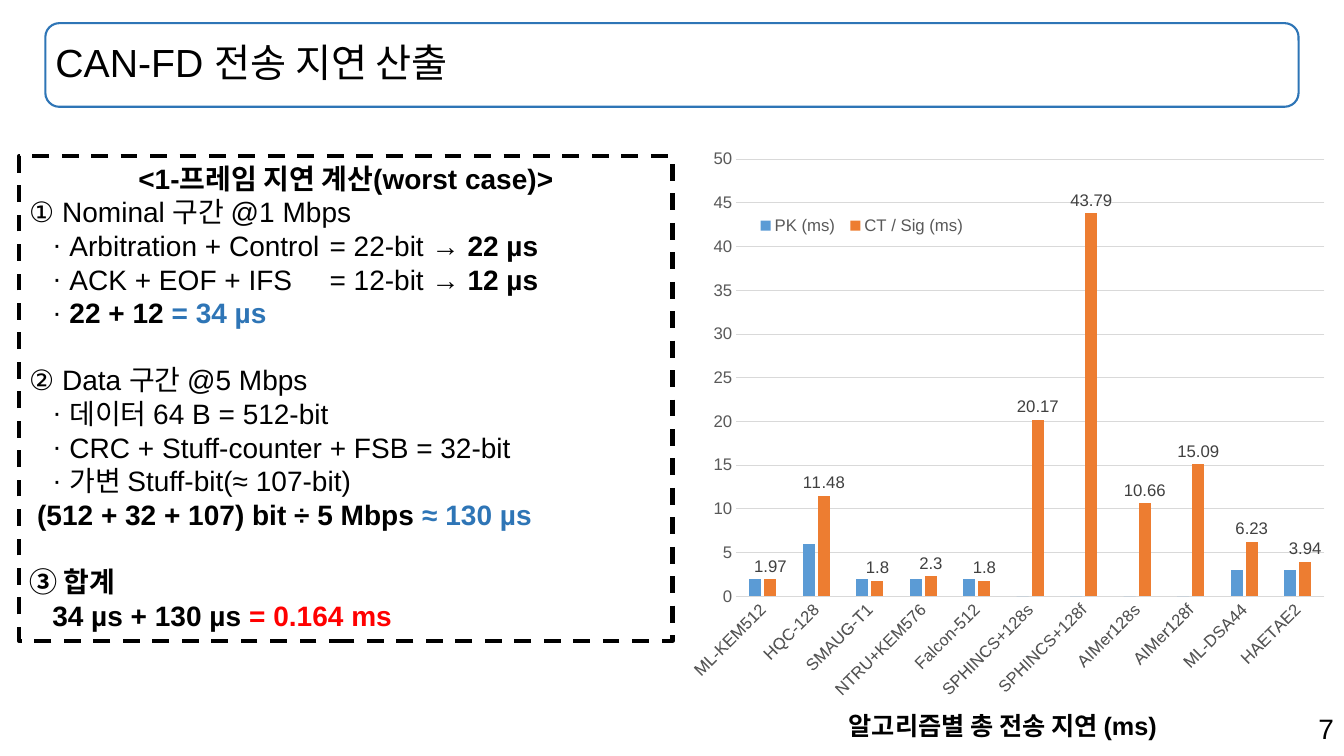
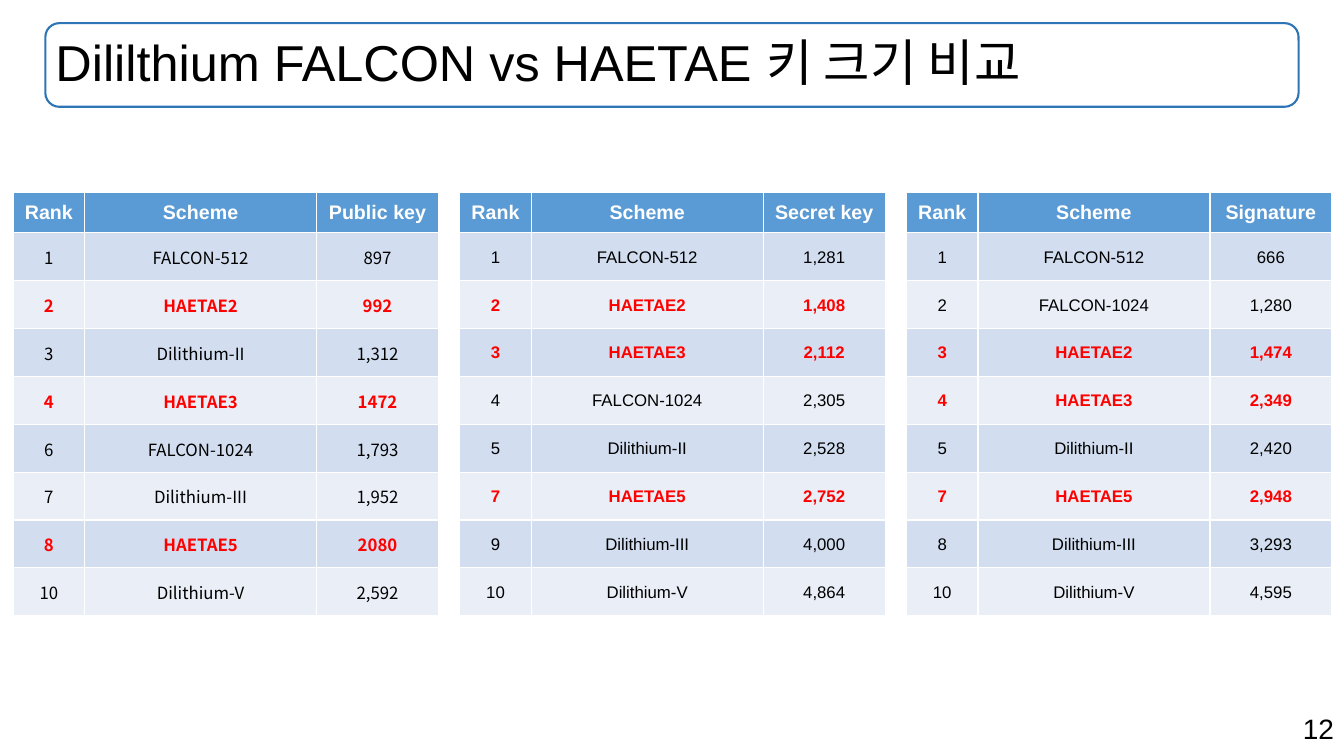
import pptx
import pptx.chart.data
import pptx.dml.color
import pptx.enum.chart
import pptx.enum.dml
import pptx.enum.shapes
import pptx.enum.text
import pptx.oxml
import pptx.oxml.ns
import pptx.util

Inches, Pt = pptx.util.Inches, pptx.util.Pt
ALIGN, ANCHOR = pptx.enum.text.PP_ALIGN, pptx.enum.text.MSO_ANCHOR
SHAPES = pptx.enum.shapes.MSO_SHAPE

FONT, TABLE_FONT = "Arial", "Noto Sans CJK KR"
BLACK, WHITE, RED, BLUE = "000000", "FFFFFF", "FF0000", "2E75B6"
HEADER, BANDS = "5B9BD5", ("D2DEEF", "EAEFF7")
AXIS_TEXT, LABEL_TEXT, GRID = "595959", "404040", "D9D9D9"
TITLE_AREA = [Inches(n) for n in (0.45, 0.23, 12.43, 0.83)]
NUMBER_AREA = [Inches(n) for n in (9.43, 7.01, 3.9, 0.44)]


def style(font, size, color=BLACK, bold=False, name=FONT):
    font.size, font.bold, font.name = Pt(size), bold, name
    font.color.rgb = pptx.dml.color.RGBColor.from_string(color)


def new_slide(title, title_size, number):
    """Add a slide with the framed title and the page number."""
    slide = deck.slides.add_slide(deck.slide_layouts[5])
    frame = slide.shapes.add_shape(SHAPES.ROUNDED_RECTANGLE, *TITLE_AREA)
    frame.shadow.inherit = False
    frame.fill.background()
    frame.line.color.rgb = pptx.dml.color.RGBColor.from_string(BLUE)
    frame.line.width = Pt(1.5)

    heading = slide.shapes.title
    heading.left, heading.top, heading.width, heading.height = TITLE_AREA
    page = slide.shapes.add_textbox(*NUMBER_AREA)
    for box, text, size, align in ((heading, title, title_size, ALIGN.LEFT),
                                   (page, number, 20, ALIGN.RIGHT)):
        box.text_frame.text = text
        box.text_frame.word_wrap = True
        box.text_frame.auto_size = pptx.enum.text.MSO_AUTO_SIZE.NONE
        paragraph = box.text_frame.paragraphs[0]
        paragraph.alignment = align
        style(paragraph.font, size)
    heading.text_frame.vertical_anchor = ANCHOR.MIDDLE
    heading.text_frame.paragraphs[0].line_spacing = 0.9
    return slide


deck = pptx.Presentation()
deck.slide_width, deck.slide_height = Inches(13.33), Inches(7.5)

# Transmission delay
slide = new_slide("CAN-FD 전송 지연 산출", 28, "7")

categories = ["ML-KEM512", "HQC-128", "SMAUG-T1", "NTRU+KEM576", "Falcon-512", "SPHINCS+128s",
              "SPHINCS+128f", "AIMer128s", "AIMer128f", "ML-DSA44", "HAETAE2"]
delays = pptx.chart.data.CategoryChartData()
delays.categories = categories
delays.add_series("PK (ms)", [2, 6, 2, 2, 2, 0, 0, 0, 0, 3, 3])
delays.add_series("CT / Sig (ms)", [1.97, 11.48, 1.8, 2.3, 1.8, 20.17, 43.79, 10.66, 15.09, 6.23, 3.94])
chart = slide.shapes.add_chart(
    pptx.enum.chart.XL_CHART_TYPE.COLUMN_CLUSTERED,
    Inches(6.85), Inches(1.3), Inches(6.48), Inches(6.06), delays).chart
style(chart.font, 10)
chart.has_title = False
chart.has_legend = True
chart.legend.position = pptx.enum.chart.XL_LEGEND_POSITION.BOTTOM
chart.legend.include_in_layout = False
style(chart.legend.font, 12, AXIS_TEXT)

plot = chart.plots[0]
plot.gap_width, plot.overlap, plot.vary_by_categories = 219, -27, False
for series, color in zip(plot.series, ("5B9BD5", "ED7D31")):
    series.format.fill.solid()
    series.format.fill.fore_color.rgb = pptx.dml.color.RGBColor.from_string(color)
labels = plot.series[1].data_labels
labels.show_value = True
labels.position = pptx.enum.chart.XL_LABEL_POSITION.OUTSIDE_END
style(labels.font, 12, LABEL_TEXT)

for axis in (chart.category_axis, chart.value_axis):
    axis.major_tick_mark = axis.minor_tick_mark = pptx.enum.chart.XL_TICK_MARK.NONE
    style(axis.tick_labels.font, 12, AXIS_TEXT)
chart.value_axis.minimum_scale, chart.value_axis.maximum_scale = 0, 50
chart.value_axis.major_unit = 5
chart.value_axis.format.line.fill.background()
for line in (chart.category_axis.format.line, chart.value_axis.major_gridlines.format.line):
    line.color.rgb = pptx.dml.color.RGBColor.from_string(GRID)
    line.width = Pt(0.75)
chart.category_axis._element.find(".//" + pptx.oxml.ns.qn("a:bodyPr")).set("rot", "-2700000")

# Manual layouts, as shares of the chart's size
plot_area = chart._chartSpace.chart.plotArea
legend = chart.legend._element
for part, target, (x, y, w, h) in ((plot_area, '<c:layoutTarget val="inner"/>', (0.067, 0.046, 0.903, 0.716)),
                                   (legend, "", (0.09, 0.13, 0.34, 0.05))):
    for old in part.findall(pptx.oxml.ns.qn("c:layout")):
        part.remove(old)
    layout = pptx.oxml.parse_xml(
        f'<c:layout {pptx.oxml.ns.nsdecls("c")}><c:manualLayout>{target}'
        '<c:xMode val="edge"/><c:yMode val="edge"/>'
        f'<c:x val="{x}"/><c:y val="{y}"/><c:w val="{w}"/><c:h val="{h}"/>'
        '</c:manualLayout></c:layout>')
    part.insert(0 if part is plot_area else 1, layout)

caption = slide.shapes.add_textbox(Inches(8.32), Inches(7), Inches(3.54), Inches(0.4))
caption.text_frame.word_wrap = True
caption.text_frame.text = "알고리즘별 총 전송 지연 (ms)"
style(caption.text_frame.paragraphs[0].font, 18, bold=True)

# Each line: left margin, bulleted, space before, runs of (text, bold, colour)
calculation = [
    (0, False, 0, [("<1-프레임 지연 계산(worst case)>", True, BLACK)]),
    (0, False, 0, [("① Nominal 구간 @1 Mbps", False, BLACK)]),
    (0.4, True, 0, [("Arbitration + Control\t= 22-bit ", False, BLACK), ("→ 22 µs", True, BLACK)]),
    (0.4, True, 0, [("ACK + EOF + IFS\t= 12-bit ", False, BLACK), ("→ 12 µs", True, BLACK)]),
    (0.4, True, 0, [("22 + 12 ", True, BLACK), ("= 34 µs", True, BLUE)]),
    (0, False, 24, [("② Data 구간 @5 Mbps", False, BLACK)]),
    (0.4, True, 0, [("데이터 64 B = 512-bit", False, BLACK)]),
    (0.4, True, 0, [("CRC + Stuff-counter + FSB = 32-bit", False, BLACK)]),
    (0.4, True, 0, [("가변 Stuff-bit(≈ 107-bit)", False, BLACK)]),
    (0.08, False, 0, [("(512 + 32 + 107) bit ÷ 5 Mbps ", True, BLACK), ("≈ 130 µs", True, BLUE)]),
    (0, False, 24, [("③ 합계", True, BLACK)]),
    (0.23, False, 0, [("34 µs + 130 µs ", True, BLACK), ("= 0.164 ms", True, RED)]),
]
panel = slide.shapes.add_shape(SHAPES.RECTANGLE, Inches(0.19), Inches(1.55), Inches(6.48), Inches(4.81))
panel.shadow.inherit = False
panel.fill.background()
panel.line.color.rgb = pptx.dml.color.RGBColor.from_string(BLACK)
panel.line.width = Pt(3)
panel.line.dash_style = pptx.enum.dml.MSO_LINE.DASH
panel.text_frame.word_wrap = True
panel.text_frame.vertical_anchor = ANCHOR.TOP
for index, (margin, bulleted, before, runs) in enumerate(calculation):
    paragraph = panel.text_frame.add_paragraph() if index else panel.text_frame.paragraphs[0]
    paragraph.alignment = ALIGN.LEFT if index else ALIGN.CENTER
    if before:
        paragraph.space_before = Pt(before)
    properties = paragraph._p.get_or_add_pPr()
    properties.set("marL", str(Inches(margin)))
    if bulleted:
        properties.set("indent", str(-Inches(0.17)))
        namespace = pptx.oxml.ns.nsdecls("a")
        properties.append(pptx.oxml.parse_xml(f'<a:buFont {namespace} typeface="{FONT}"/>'))
        properties.append(pptx.oxml.parse_xml(f'<a:buChar {namespace} char="·"/>'))
        if "\t" in runs[0][0]:
            properties.append(pptx.oxml.parse_xml(
                f'<a:tabLst {namespace}><a:tab pos="{Inches(2.98)}" algn="l"/></a:tabLst>'))
    for text, bold, color in runs:
        run = paragraph.add_run()
        run.text = text
        style(run.font, 20, color, bold)

# Key sizes
slide = new_slide("Dililthium FALCON vs HAETAE 키 크기 비교", 36, "12")

rankings = [
    ("Public key", TABLE_FONT, [
        ("1", "FALCON-512", "897"), ("2", "HAETAE2", "992"), ("3", "Dilithium-II", "1,312"),
        ("4", "HAETAE3", "1472"), ("6", "FALCON-1024", "1,793"), ("7", "Dilithium-III", "1,952"),
        ("8", "HAETAE5", "2080"), ("10", "Dilithium-V", "2,592")]),
    ("Secret key", FONT, [
        ("1", "FALCON-512", "1,281"), ("2", "HAETAE2", "1,408"), ("3", "HAETAE3", "2,112"),
        ("4", "FALCON-1024", "2,305"), ("5", "Dilithium-II", "2,528"), ("7", "HAETAE5", "2,752"),
        ("9", "Dilithium-III", "4,000"), ("10", "Dilithium-V", "4,864")]),
    ("Signature", FONT, [
        ("1", "FALCON-512", "666"), ("2", "FALCON-1024", "1,280"), ("3", "HAETAE2", "1,474"),
        ("4", "HAETAE3", "2,349"), ("5", "Dilithium-II", "2,420"), ("7", "HAETAE5", "2,948"),
        ("8", "Dilithium-III", "3,293"), ("10", "Dilithium-V", "4,595")]),
]
column_widths = (0.71, 2.3, 1.21)
table_width, table_height, header_height, gap = sum(column_widths), 4.2, 0.4, 0.21
for position, (measure, body_font, schemes) in enumerate(rankings):
    rows = [("Rank", "Scheme", measure)] + schemes
    left = 0.13 + position * (table_width + gap)
    table = slide.shapes.add_table(len(rows), 3, Inches(left), Inches(1.91),
                                   Inches(table_width), Inches(table_height)).table
    for column, width in zip(table.columns, column_widths):
        column.width = Inches(width)
    for r, row in enumerate(rows):
        table.rows[r].height = Inches((table_height - header_height) / len(schemes) if r else header_height)
        highlighted = row[1].startswith("HAETAE")
        for c, text in enumerate(row):
            cell = table.cell(r, c)
            cell.text = text
            cell.vertical_anchor = ANCHOR.MIDDLE
            cell.fill.solid()
            cell.fill.fore_color.rgb = pptx.dml.color.RGBColor.from_string(BANDS[(r - 1) % 2] if r else HEADER)
            paragraph = cell.text_frame.paragraphs[0]
            paragraph.alignment = ALIGN.CENTER
            if r:
                cell.margin_left = cell.margin_right = cell.margin_top = Inches(0.01)
                cell.margin_bottom = 0
                style(paragraph.font, 12, RED if highlighted else BLACK, highlighted, body_font)
            else:
                style(paragraph.font, 14, WHITE, True)

deck.save("out.pptx")
